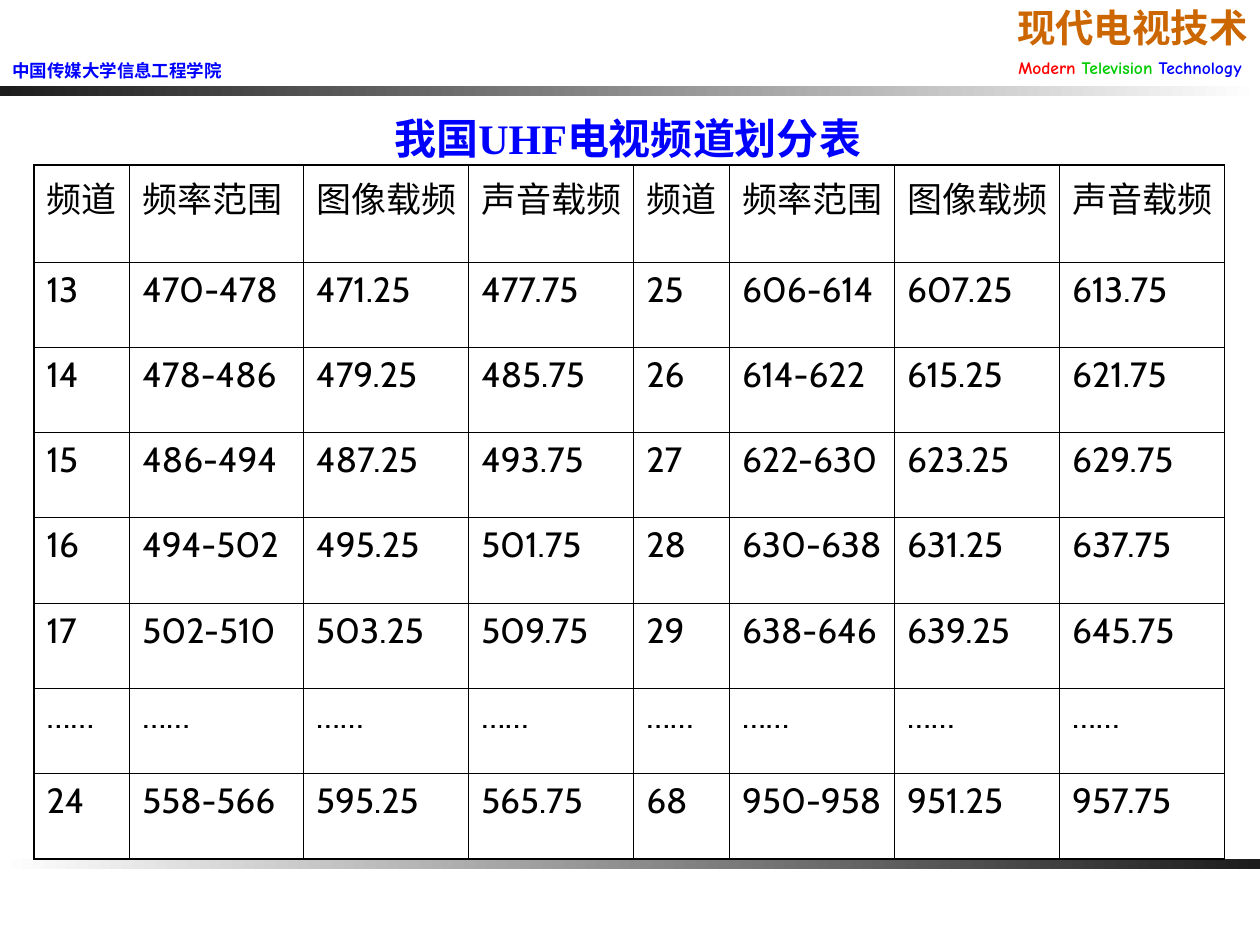
from dataclasses import dataclass

from lxml import etree
from pptx import Presentation
from pptx.dml.color import RGBColor
from pptx.enum.shapes import MSO_SHAPE
from pptx.enum.text import MSO_ANCHOR, PP_ALIGN
from pptx.oxml.ns import qn
from pptx.util import Inches, Pt

RECTANGLE = MSO_SHAPE.RECTANGLE
LEFT, RIGHT = PP_ALIGN.LEFT, PP_ALIGN.RIGHT
TOP, BOTTOM = MSO_ANCHOR.TOP, MSO_ANCHOR.BOTTOM
TITLE_ONLY = 5


@dataclass(frozen=True)
class Theme:
    black: str = "000000"
    white: str = "FFFFFF"
    charcoal: str = "1C1C1C"
    blue: str = "0000FF"
    red: str = "FF0000"
    green: str = "00CC00"
    orange: str = "CC6600"
    serif: str = "Times New Roman"
    comic: str = "Comic Neue"
    school: str = "Quicksand"
    body: str = "Cabin"
    title_size: float = 24
    course_size: float = 22
    table_size: float = 20
    space_size: float = 14
    small_size: float = 10
    outer_line: float = 1.08
    inner_line: float = 0.45


THEME = Theme()

COLUMN_WIDTHS = [0.76, 1.38, 1.31, 1.31, 0.76, 1.31, 1.31, 1.31]
TABLE_HEIGHT = 5.51
HEADING_HEIGHT = 0.77
HEADINGS = ["频道", "频率范围", "图像载频", "声音载频"]
CHANNELS = [
    HEADINGS * 2,
    ["13", "470-478", "471.25", "477.75", "25", "606-614", "607.25", "613.75"],
    ["14", "478-486", "479.25", "485.75", "26", "614-622", "615.25", "621.75"],
    ["15", "486-494", "487.25", "493.75", "27", "622-630", "623.25", "629.75"],
    ["16", "494-502", "495.25", "501.75", "28", "630-638", "631.25", "637.75"],
    ["17", "502-510", "503.25", "509.75", "29", "638-646", "639.25", "645.75"],
    ["……"] * 8,
    ["24", "558-566", "595.25", "565.75", "68", "950-958", "951.25", "957.75"],
]


def add_text(paragraph, text, *, size, font, color, bold=False,
             align=LEFT, space_before=0):
    """Append one formatted run to the paragraph."""
    paragraph.alignment = align
    paragraph.space_before = Pt(space_before)
    run = paragraph.add_run()
    run.text = text
    run.font.size = Pt(size)
    run.font.name = font
    run.font.bold = bold
    run.font.color.rgb = RGBColor.from_string(color)


def place(shape, left, top, width, height):
    shape.left, shape.top = Inches(left), Inches(top)
    shape.width, shape.height = Inches(width), Inches(height)


def add_text_box(slide, left, top, width, height, anchor=TOP):
    box = slide.shapes.add_textbox(
        Inches(left), Inches(top), Inches(width), Inches(height))
    box.text_frame.word_wrap = True
    box.text_frame.vertical_anchor = anchor
    return box.text_frame


def add_gradient_bar(slide, top, right_color, left_color):
    bar = slide.shapes.add_shape(
        RECTANGLE, 0, Inches(top), Inches(10), Inches(0.08))
    bar.shadow.inherit = False
    bar.line.fill.background()
    bar.fill.gradient()
    bar.fill.gradient_angle = 180
    for stop, color in zip(bar.fill.gradient_stops, (right_color, left_color)):
        stop.color.rgb = RGBColor.from_string(color)


def set_borders(cell, widths):
    """Draw the cell's sides; widths maps L, R, T and B to points."""
    properties = cell._tc.get_or_add_tcPr()
    for side in "LRTB":
        line = etree.SubElement(
            properties, qn(f"a:ln{side}"), w=str(Pt(widths[side])))
        fill = etree.SubElement(line, qn("a:solidFill"))
        etree.SubElement(fill, qn("a:srgbClr"), val=THEME.black)


def add_channel_table(slide):
    row_count, column_count = len(CHANNELS), len(COLUMN_WIDTHS)
    table = slide.shapes.add_table(
        row_count, column_count, Inches(0.27), Inches(1.31),
        Inches(sum(COLUMN_WIDTHS)), Inches(TABLE_HEIGHT)).table
    table.first_row = table.horz_banding = False
    for column, width in zip(table.columns, COLUMN_WIDTHS):
        column.width = Inches(width)
    channel_height = (TABLE_HEIGHT - HEADING_HEIGHT) / (row_count - 1)
    for row_index, row in enumerate(table.rows):
        row.height = Inches(channel_height if row_index else HEADING_HEIGHT)

    for row_index, values in enumerate(CHANNELS):
        for column_index, value in enumerate(values):
            cell = table.cell(row_index, column_index)
            is_outer = {
                "L": column_index == 0,
                "R": column_index == column_count - 1,
                "T": row_index == 0,
                "B": row_index == row_count - 1,
            }
            set_borders(cell, {
                side: THEME.outer_line if outer else THEME.inner_line
                for side, outer in is_outer.items()})
            cell.fill.background()
            # A narrow right margin keeps four-character headings on one line.
            cell.margin_right = Inches(0.05)
            add_text(cell.text_frame.paragraphs[0], value, space_before=5,
                     size=THEME.table_size, font=THEME.body, color=THEME.black)


def add_course_name(slide):
    frame = add_text_box(slide, 6.89, 0.26, 3.11, 0.42, anchor=BOTTOM)
    add_text(frame.paragraphs[0], "现代电视技术", size=THEME.course_size,
             font=THEME.serif, color=THEME.orange, bold=True, align=RIGHT)
    english = frame.add_paragraph()
    for word, color in (("Modern ", THEME.red), ("Television ", THEME.green),
                        ("Technology", THEME.blue)):
        add_text(english, word, size=THEME.small_size, font=THEME.comic,
                 color=color, bold=True, align=RIGHT)
    add_text(english, " ", size=THEME.space_size, font=THEME.serif,
             color=THEME.black, align=RIGHT)


def add_school_name(slide):
    frame = add_text_box(slide, 0, 0.43, 2.01, 0.27)
    frame.word_wrap = False
    add_text(frame.paragraphs[0], "中国传媒大学信息工程学院",
             size=THEME.small_size, font=THEME.school, color=THEME.blue,
             bold=True, space_before=6.2)


def set_title(slide):
    title = slide.shapes.title
    place(title, 3.03, 0.84, 4.1, 0.5)
    title.text_frame.vertical_anchor = TOP
    title.text_frame.word_wrap = True
    add_text(title.text_frame.paragraphs[0], "我国UHF电视频道划分表",
             size=THEME.title_size, font=THEME.serif, color=THEME.blue,
             bold=True, space_before=15)


def main():
    presentation = Presentation()
    presentation.slide_width, presentation.slide_height = Inches(10), Inches(7.5)
    slide = presentation.slides.add_slide(
        presentation.slide_layouts[TITLE_ONLY])
    add_gradient_bar(slide, 0.68, THEME.white, THEME.charcoal)
    add_course_name(slide)
    add_school_name(slide)
    add_gradient_bar(slide, 6.82, THEME.charcoal, THEME.white)
    add_channel_table(slide)
    set_title(slide)
    presentation.save("out.pptx")


if __name__ == "__main__":
    main()
